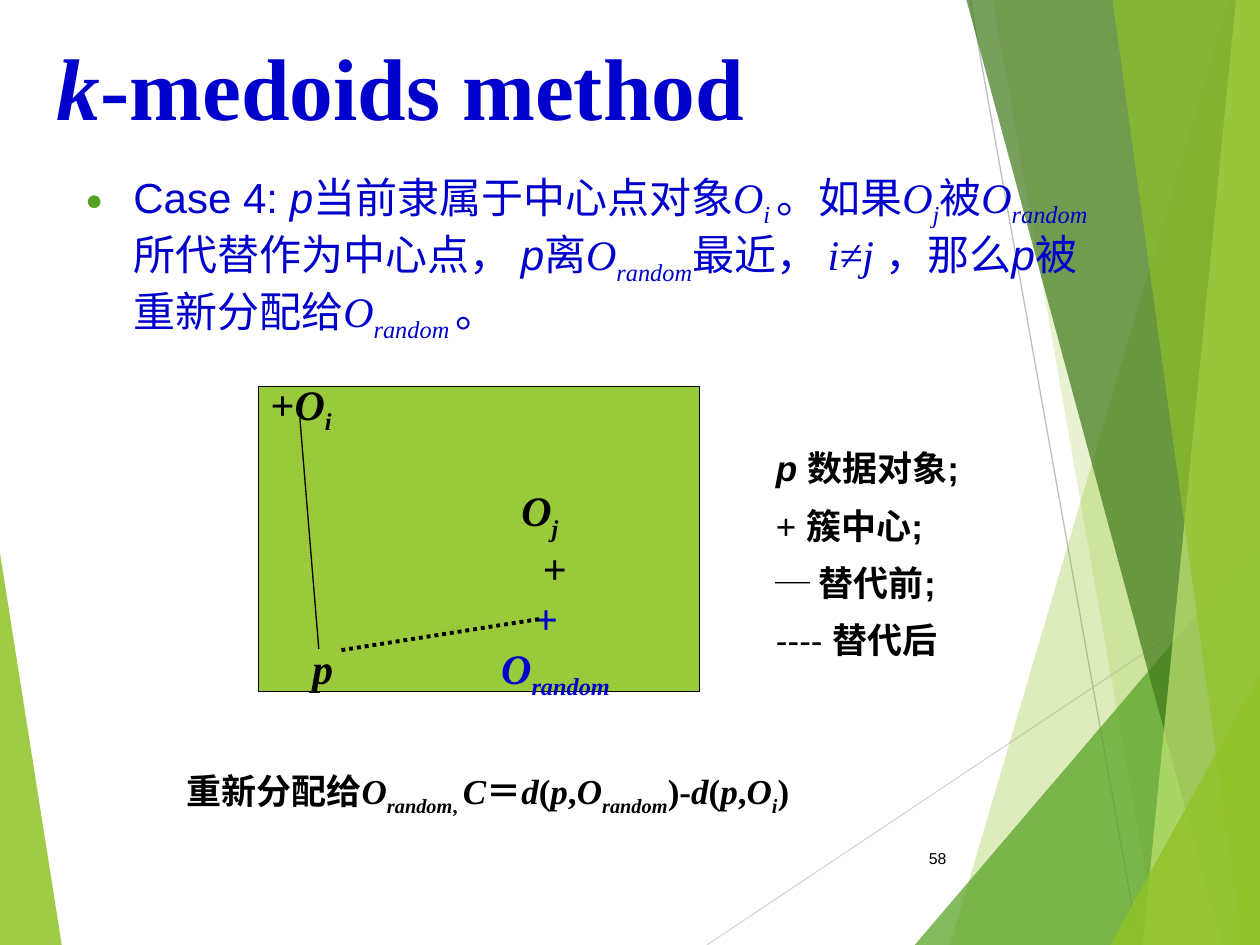
import pptx
import pptx.dml.color
import pptx.enum.dml
import pptx.enum.shapes
import pptx.enum.text
import pptx.oxml
import pptx.oxml.ns
import pptx.util
import lxml.etree

Anchor = pptx.enum.text.MSO_ANCHOR
Align = pptx.enum.text.PP_ALIGN
qn = pptx.oxml.ns.qn

COLS, ROWS = 100, 75          # grid cells of a tenth of an inch
BLUE, BLACK, GREEN = "0000CC", "000000", "90C226"
SANS, SERIF = "Arial", "Times New Roman"


def color(text):
    return pptx.dml.color.RGBColor.from_string(text)


def cells(count):
    return pptx.util.Inches(count / 10)


def medoid(sub, style=""):
    """The letter O with its subscript."""
    return [("O", "it" + style), (sub, "its" + style)]


class SlideBuilder:
    """Holds the deck, the current page and the text style."""

    def __init__(self):
        self.deck = pptx.Presentation()
        self.deck.slide_width, self.deck.slide_height = cells(COLS), cells(ROWS)
        self.page = self.deck.slides.add_slide(self.deck.slide_layouts[6])
        self.style = {"size": 24, "name": SANS, "color": BLACK, "bold": False}

    def facet(self, points, fill, opacity):
        """Translucent polygon of the background."""
        start, *rest = [(cells(x), cells(y)) for x, y in points]
        outline = self.page.shapes.build_freeform(*start)
        outline.add_line_segments(rest, close=True)
        shape = outline.convert_to_shape()
        shape.shadow.inherit = False
        shape.fill.solid()
        shape.fill.fore_color.rgb = color(fill)
        shape.line.fill.background()
        tint = shape._element.spPr.find(".//" + qn("a:srgbClr"))
        lxml.etree.SubElement(tint, qn("a:alpha")).set("val", str(opacity * 1000))

    def line(self, start, end, stroke=BLACK, width=0.75, dash=None):
        link = self.page.shapes.add_connector(
            pptx.enum.shapes.MSO_CONNECTOR.STRAIGHT, *map(cells, start + end))
        link.line.color.rgb = color(stroke)
        link.line.width = pptx.util.Pt(width)
        if dash:
            link.line.dash_style = dash
        lxml.etree.SubElement(link._element.spPr, qn("a:effectLst"))

    def panel(self, area, fill):
        shape = self.page.shapes.add_shape(
            pptx.enum.shapes.MSO_SHAPE.RECTANGLE, *map(cells, area))
        shape.shadow.inherit = False
        shape.fill.solid()
        shape.fill.fore_color.rgb = color(fill)
        shape.line.color.rgb = color(BLACK)
        shape.line.width = pptx.util.Pt(0.75)
        return shape

    def text(self, area, paras, box=None, anchor=Anchor.TOP, layout=None, **style):
        """Paragraphs of (text, style letters): i italic, s sub, t serif, n not bold, u blue."""
        box = box or self.page.shapes.add_textbox(*map(cells, area))
        frame = box.text_frame
        frame.word_wrap, frame.vertical_anchor = True, anchor
        made = []
        for index, spans in enumerate(paras):
            para = frame.add_paragraph() if index else frame.paragraphs[0]
            for name, value in {"alignment": Align.LEFT, **(layout or {})}.items():
                setattr(para, name, value)
            for words, letters in spans:
                self.span(para, words, letters, {**self.style, **style})
            made.append(para)
        return made

    def span(self, para, words, letters, style):
        span = para.add_run()
        span.text = words
        formats = {
            "size": pptx.util.Pt(style["size"]),
            "name": SERIF if "t" in letters else style["name"],
            "bold": style["bold"] and "n" not in letters,
            "italic": "i" in letters,
        }
        for name, value in formats.items():
            setattr(span.font, name, value)
        span.font.color.rgb = color(BLUE if "u" in letters else style["color"])
        if "s" in letters:
            span._r.get_or_add_rPr().set("baseline", "-25000")

    def bullet(self, para, left, hanging, fill):
        props = para._p.get_or_add_pPr()
        props.set("marL", str(cells(left)))
        props.set("indent", str(-cells(hanging)))
        tint = lxml.etree.SubElement(props, qn("a:buClr"))
        lxml.etree.SubElement(tint, qn("a:srgbClr")).set("val", fill)
        lxml.etree.SubElement(props, qn("a:buSzPct")).set("val", "70000")
        lxml.etree.SubElement(props, qn("a:buFont")).set("typeface", SANS)
        lxml.etree.SubElement(props, qn("a:buChar")).set("char", "●")

    def tabs(self, para, stops):
        tab_list = lxml.etree.SubElement(para._p.get_or_add_pPr(), qn("a:tabLst"))
        for stop in stops:
            tab = lxml.etree.SubElement(tab_list, qn("a:tab"))
            tab.set("pos", str(cells(stop)))
            tab.set("algn", "l")


def main():
    slide = SlideBuilder()

    # Background facets and hairlines
    slide.facet([(0, 43.9), (4.9, ROWS), (0, ROWS)], GREEN, 85)
    slide.line((56.1, ROWS), (COLS, 45.7), "D9D9D9")
    slide.line((77, 0), (90.4, ROWS), "BFBFBF")
    right_facets = [
        (97.5, 75.4, GREEN, 30),
        (78.8, 91.9, GREEN, 20),
        (None, 72.6, "54A021", 72),
        (76.7, 97, "3F7819", 70),
        (98.1, 90.7, "C0E474", 70),
        (88.3, 98.6, GREEN, 65),
        (None, 88.1, GREEN, 80),
    ]
    corner_tops = iter((42.9, 53.5))
    for top, bottom, fill, opacity in right_facets:
        edge = [(COLS, next(corner_tops))] if top is None else [(top, 0), (COLS, 0)]
        slide.facet([(bottom, ROWS), *edge, (COLS, ROWS)], fill, opacity)

    # Page number and title
    slide.text((70.5, 66.1, 5.6, 4), [[("58", "")]], anchor=Anchor.MIDDLE,
               layout={"alignment": Align.RIGHT}, size=9)
    slide.text((3.5, 0.9, 68.9, 11.7), [[("k", "i"), ("-medoids method", "")]],
               anchor=Anchor.MIDDLE, size=50, name=SERIF, color=BLUE, bold=True)

    # Case description
    case = [("Case 4: ", ""), ("p", "i"), ("当前隶属于中心点对象", ""), *medoid("i "),
            ("。如果", ""), *medoid("j"), ("被", ""), *medoid("random"),
            ("所代替作为中心点， ", ""), ("p", "i"), ("离", ""), *medoid("random"),
            ("最近， ", ""), ("i≠j", "it"), (" ，那么", ""), ("p", "i"),
            ("被重新分配给", ""), *medoid("random "), ("。", "")]
    for para in slide.text((2, 13.1, 85.5, 16.1), [case], color=BLUE):
        slide.bullet(para, 7.6, 3.8, "54A021")

    # Diagram: labels are placed by tab stops
    labels = [
        ([("+", ""), *medoid("i")], []),
        ([("\t", ""), *medoid("j")], [19.9]),
        ([("\t+", "")], [21.6]),
        ([("\t", ""), ("+", "u")], [20.9]),
        ([("\t", ""), ("p\t", "i"), *medoid("random", "u")], [3.3, 18.3]),
    ]
    area = (20.5, 30.7, 35, 24.2)
    paras = slide.text(area, [spans for spans, _ in labels], slide.panel(area, "99CA3C"),
                       Anchor.MIDDLE, name=SERIF, bold=True)
    paras[1].space_before = pptx.util.Pt(28)
    for para, (_, stops) in zip(paras, labels):
        if stops:
            slide.tabs(para, stops)
    slide.line((23.8, 33.2), (25.3, 51.5))
    slide.line((27.1, 51.6), (43, 49.1), width=2.25,
               dash=pptx.enum.dml.MSO_LINE.ROUND_DOT)

    # Cost formula
    cost = [("重新分配给", ""), *medoid("random"), (", ", "s"), ("C", "i"), ("＝", ""),
            ("d", "i"), ("(", ""), ("p", "i"), (",", ""), *medoid("random"), (")-", ""),
            ("d", "i"), ("(", ""), ("p", "i"), (",", ""), *medoid("i"), (")", "")]
    slide.text((13.8, 60.6, 51.1, 4.3), [cost], size=20, name=SERIF, bold=True)

    # Legend
    legend = [("p ", "i", "数据对象;"), ("+ ", "n", "簇中心;"),
              ("─ ", "n", "替代前;"), ("---- ", "n", "替代后")]
    slide.text((60.6, 34.3, 22.8, 19),
               [[(mark, letters), (words, "")] for mark, letters, words in legend],
               layout={"line_spacing": 1.2, "space_before": pptx.util.Pt(4)},
               size=20, bold=True)

    slide.deck.save("out.pptx")


if __name__ == "__main__":
    main()
